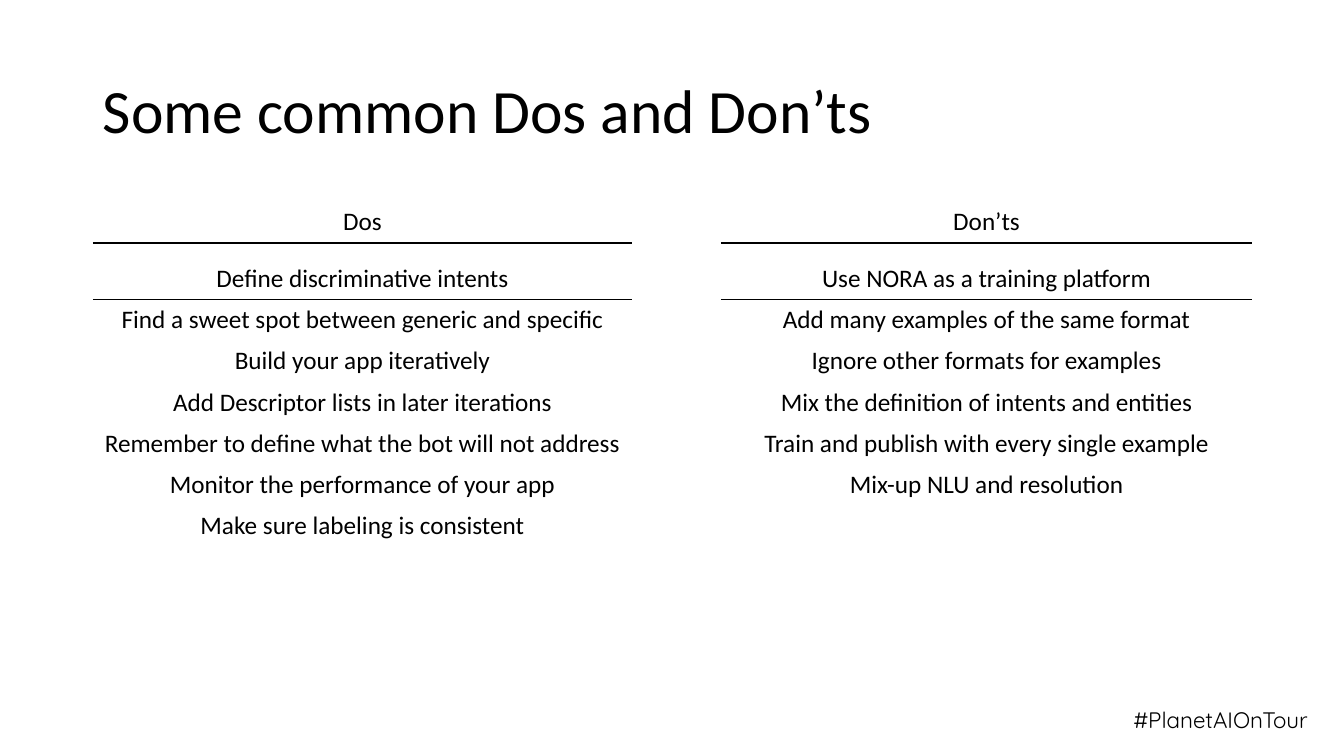
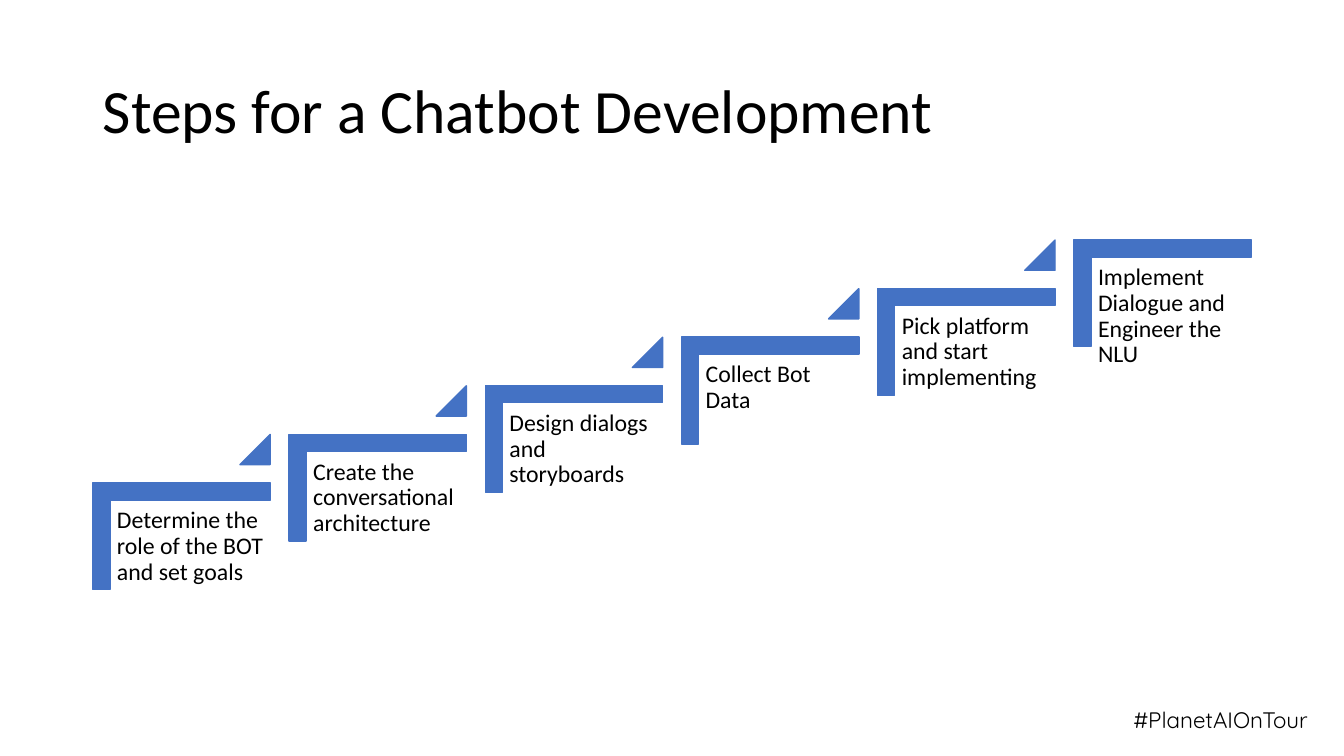
from dataclasses import dataclass
from itertools import zip_longest

from lxml.etree import SubElement
from pptx import Presentation
from pptx.dml.color import RGBColor
from pptx.enum.shapes import MSO_SHAPE
from pptx.enum.text import MSO_ANCHOR, PP_ALIGN
from pptx.oxml.ns import qn
from pptx.presentation import Presentation as Deck
from pptx.slide import Slide
from pptx.table import _Cell as Cell
from pptx.text.text import TextFrame
from pptx.util import Inches, Pt

BLACK = "000000"
BLUE = "4472C4"
BODY_FONT = "Calibri"
HASHTAG_FONT = "Quicksand"
HASHTAG = "#PlanetAIOnTour"
PLAIN_TABLE_STYLE = "{2D5ABB26-0587-4C30-8999-92F81FD0307C}"
CORNER = MSO_SHAPE.from_xml("corner")

DOS = [
    "Define discriminative intents",
    "Find a sweet spot between generic and specific",
    "Build your app iteratively",
    "Add Descriptor lists in later iterations",
    "Remember to define what the bot will not address",
    "Monitor the performance of your app",
    "Make sure labeling is consistent",
]
DONTS = [
    "Use NORA as a training platform",
    "Add many examples of the same format",
    "Ignore other formats for examples",
    "Mix the definition of intents and entities",
    "Train and publish with every single example",
    "Mix-up NLU and resolution",
]
STEPS = [
    "Determine the role of the BOT and set goals",
    "Create the conversational architecture",
    "Design dialogs and storyboards",
    "Collect Bot Data",
    "Pick platform and start implementing",
    "Implement Dialogue and Engineer the NLU",
]


@dataclass(frozen=True)
class Box:
    left: float
    top: float
    width: float
    height: float

    def shifted(self, across: float, down: float) -> "Box":
        return Box(self.left + across, self.top + down, self.width, self.height)

    def lengths(self) -> tuple[int, int, int, int]:
        return (Inches(self.left), Inches(self.top),
                Inches(self.width), Inches(self.height))


TITLE_BOX = Box(0.92, 0.4, 11.5, 1.45)
HASHTAG_BOX = Box(10.92, 6.96, 2.15, 0.37)
TABLE_BOX = Box(0.92, 2, 11.5, 3.43)
COLUMN_WIDTHS = (5.35, 0.88, 5.27)
ROW_HEIGHT, TALL_ROW_HEIGHT = 0.41, 0.56

# Parts of the lowest step; the others rise evenly from it
CORNER_BOX = Box(1.27, 4.44, 1.06, 1.76)
LABEL_BOX = Box(1.09, 4.97, 1.59, 1.39)
TRIANGLE_BOX = Box(2.38, 4.31, 0.3, 0.3)
STEP_ACROSS = (11 - CORNER_BOX.left) / (len(STEPS) - 1)
STEP_DOWN = (2.03 - CORNER_BOX.top) / (len(STEPS) - 1)


def color(hex_value: str) -> RGBColor:
    return RGBColor.from_string(hex_value)


def write(frame: TextFrame, text: str, *, size: float, font: str = BODY_FONT,
          hex_color: str = BLACK, align: PP_ALIGN = PP_ALIGN.LEFT,
          line_spacing: float = 1.0) -> None:
    paragraph = frame.paragraphs[0]
    paragraph.alignment = align
    paragraph.line_spacing = line_spacing
    run = paragraph.add_run()
    run.text = text
    run.font.name = font
    run.font.size = Pt(size)
    run.font.color.rgb = color(hex_color)


def add_text(slide: Slide, box: Box, text: str, *, inset: float | None = None,
             **text_format) -> None:
    frame = slide.shapes.add_textbox(*box.lengths()).text_frame
    frame.word_wrap = True
    if inset is not None:
        frame.margin_left = frame.margin_right = Inches(inset)
        frame.margin_top = frame.margin_bottom = Inches(inset)
    write(frame, text, **text_format)


def add_titled_slide(deck: Deck, heading: str) -> Slide:
    """Add a slide with the shared title style and hashtag."""
    slide = deck.slides.add_slide(deck.slide_layouts.get_by_name("Title Only"))
    add_text(slide, HASHTAG_BOX, HASHTAG, size=16, font=HASHTAG_FONT,
             align=PP_ALIGN.RIGHT)
    title = slide.shapes.title
    title.left, title.top, title.width, title.height = TITLE_BOX.lengths()
    title.text_frame.word_wrap = True
    title.text_frame.vertical_anchor = MSO_ANCHOR.MIDDLE
    write(title.text_frame, heading, size=44, line_spacing=0.9)
    return slide


def underline_cell(cell: Cell) -> None:
    # Borders must come before the fill in the cell properties
    properties = cell._tc.get_or_add_tcPr()
    border = SubElement(properties, qn("a:lnB"), w=str(Pt(1)))
    properties.insert(0, border)
    fill = SubElement(border, qn("a:solidFill"))
    SubElement(fill, qn("a:srgbClr"), val=BLACK)


def add_advice_table(slide: Slide) -> None:
    rows = [("Dos", "Don’ts"), *zip_longest(DOS, DONTS, fillvalue="")]
    table = slide.shapes.add_table(
        len(rows), len(COLUMN_WIDTHS), *TABLE_BOX.lengths()).table
    table.first_row = table.horz_banding = False
    table._tbl.tblPr.find(qn("a:tableStyleId")).text = PLAIN_TABLE_STYLE
    for column, width in zip(table.columns, COLUMN_WIDTHS):
        column.width = Inches(width)

    for row_index, (do, dont) in enumerate(rows):
        is_tall = row_index == 1
        row = table.rows[row_index]
        row.height = Inches(TALL_ROW_HEIGHT if is_tall else ROW_HEIGHT)
        for cell, advice in zip(row.cells, (do, "", dont)):
            cell.fill.background()
            if not advice:
                continue
            write(cell.text_frame, advice, size=18, align=PP_ALIGN.CENTER,
                  line_spacing=1.5 if is_tall else 1.0)
            if row_index <= 1:
                underline_cell(cell)


def add_blue_shape(slide: Slide, kind: MSO_SHAPE, box: Box,
                   adjustments: tuple[float, ...], rotation: float = 0) -> None:
    shape = slide.shapes.add_shape(kind, *box.lengths())
    shape.rotation = rotation
    shape.shadow.inherit = False
    for index, value in enumerate(adjustments):
        shape.adjustments[index] = value
    shape.fill.solid()
    shape.fill.fore_color.rgb = color(BLUE)
    shape.line.color.rgb = color(BLUE)
    shape.line.width = Pt(1)


def add_staircase(slide: Slide) -> None:
    for index, step in enumerate(STEPS):
        shift = (index * STEP_ACROSS, index * STEP_DOWN)
        add_blue_shape(slide, CORNER, CORNER_BOX.shifted(*shift),
                       (0.16, 0.16), rotation=90)
        add_text(slide, LABEL_BOX.shifted(*shift), step, inset=0.07, size=17,
                 line_spacing=0.9)
        if index < len(STEPS) - 1:
            add_blue_shape(slide, MSO_SHAPE.ISOSCELES_TRIANGLE,
                           TRIANGLE_BOX.shifted(*shift), (1.0,))


def main() -> None:
    deck = Presentation()
    deck.slide_width, deck.slide_height = Inches(13.33), Inches(7.5)
    add_advice_table(add_titled_slide(deck, "Some common Dos and Don’ts"))
    add_staircase(add_titled_slide(deck, "Steps for a Chatbot Development"))
    deck.save("out.pptx")


if __name__ == "__main__":
    main()
